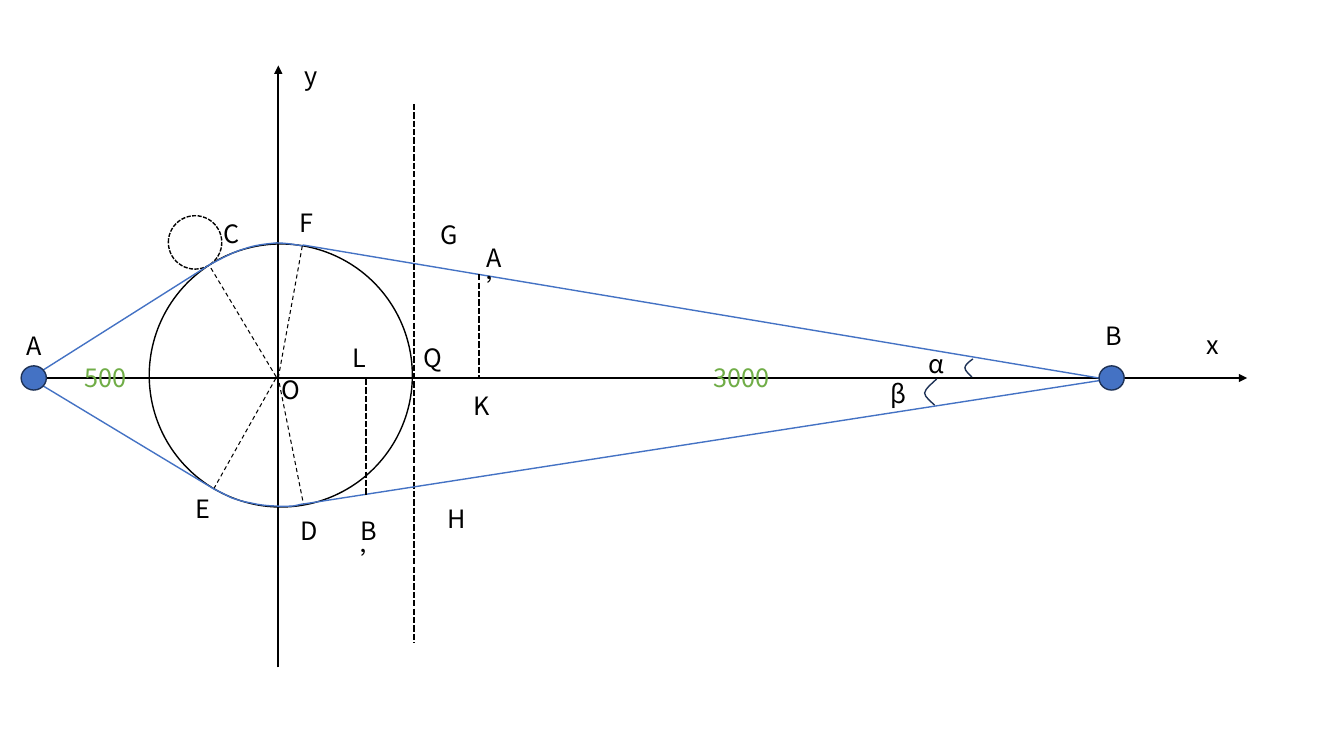
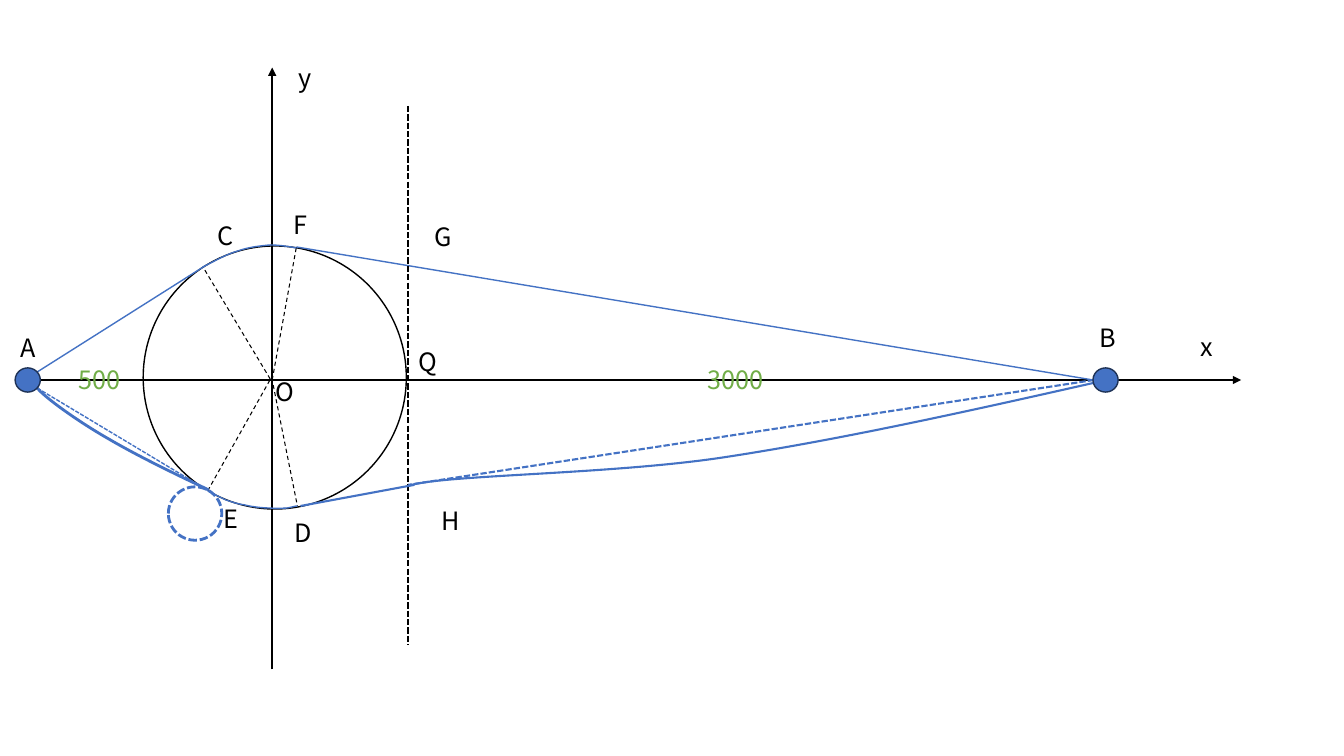
from lxml import etree
from pptx import Presentation
from pptx import util as u
from pptx.dml.color import RGBColor
from pptx.enum import dml, shapes, text
from pptx.oxml.ns import qn

FONT = "Noto Sans CJK SC"
BLACK, WHITE, BLUE, NAVY, GREEN = "000000", "FFFFFF", "4472C4", "1E3256", "70AD47"
DASH, SHORT_DASH = dml.MSO_LINE.DASH, dml.MSO_LINE.SQUARE_DOT


def style(shape, color, width=1, dash=None, arrow=False, fill=None):
    """Set outline, fill and arrowhead, and remove the theme shadow."""
    shape.line.color.rgb = RGBColor.from_string(color)
    shape.line.width = u.Pt(width)
    if dash is not None:
        shape.line.dash_style = dash
    properties = shape.element.spPr
    if arrow:
        etree.SubElement(properties.find(qn("a:ln")), qn("a:tailEnd"), type="triangle")
    if shape.shape_type == shapes.MSO_SHAPE_TYPE.LINE:
        etree.SubElement(properties, qn("a:effectLst"))
        return
    shape.shadow.inherit = False
    if fill:
        shape.fill.solid()
        shape.fill.fore_color.rgb = RGBColor.from_string(fill)
    else:
        shape.fill.background()


def add_label(slide, words, left, top, width, color=BLACK, size=18):
    box = slide.shapes.add_textbox(*map(u.Inches, (left, top, width, 0.4)))
    box.text_frame.word_wrap = True
    box.text_frame.auto_size = text.MSO_AUTO_SIZE.SHAPE_TO_FIT_TEXT
    run = box.text_frame.paragraphs[0].add_run()
    run.text = words
    run.font.name = FONT
    run.font.size = u.Pt(size)
    run.font.color.rgb = RGBColor.from_string(color)
    etree.SubElement(run.font._element, qn("a:ea"), typeface=FONT)


# Shared diagram, in the coordinates of the first slide
shared_lines = [
    # axes
    ((0.4, 3.75), (12.37, 3.75), dict(color=BLACK, width=1.5, arrow=True)),
    ((2.76, 6.62), (2.76, 0.65), dict(color=BLACK, width=1.5, arrow=True)),
    # upper tangents
    ((0.43, 3.67), (2.09, 2.62), dict(color=BLUE)),
    ((10.9, 3.75), (3, 2.43), dict(color=BLUE)),
    # radii
    ((2.76, 3.75), (3, 2.43), dict(color=BLACK, width=0.75, dash=DASH)),
    ((2.12, 4.85), (2.76, 3.71), dict(color=BLACK, width=0.75, dash=DASH)),
    ((2.74, 3.74), (2.08, 2.64), dict(color=BLACK, width=0.75, dash=DASH)),
    ((2.77, 3.8), (3.01, 5), dict(color=BLACK, width=0.75, dash=DASH)),
    # vertical through Q
    ((4.11, 1.03), (4.11, 6.38), dict(color=BLACK, width=1.5, dash=SHORT_DASH)),
]
# Each curve is a chain of cubic segments: start, then control, control, end
shared_curves = [
    ([(2.07, 2.63), (2.19, 2.57), (2.31, 2.5), (2.42, 2.47), (2.53, 2.43),
      (2.64, 2.42), (2.74, 2.41), (2.83, 2.41), (2.95, 2.43), (3, 2.44)], dict(color=BLUE)),
    ([(2.12, 4.85), (2.18, 4.88), (2.24, 4.91), (2.3, 4.94), (2.36, 4.96),
      (2.42, 4.98), (2.49, 4.99), (2.57, 5.01), (2.67, 5.02), (2.74, 5.02),
      (2.81, 5.03), (2.87, 5.02), (2.91, 5.02), (2.96, 5.01), (2.99, 5), (3.01, 5)],
     dict(color=BLUE)),
]
shared_labels = [
    ("3000", 6.98, 3.55, 1.61, GREEN), ("x", 11.87, 3.22, 0.45), ("y", 2.92, 0.55, 0.56),
    ("A", 0.16, 3.23, 0.38), ("B", 10.87, 3.13, 0.45), ("500", 0.74, 3.55, 1.12, GREEN),
    ("C", 2.12, 2.12, 0.32), ("F", 2.87, 2.01, 0.42), ("D", 2.88, 5.06, 0.52),
    ("O", 2.69, 3.66, 0.52), ("G", 4.27, 2.13, 0.72), ("H", 4.34, 4.94, 1.37),
]

# What each slide adds, in its own coordinates
scenes = [
    dict(
        shift=(0, 0),
        rolling=(1.67, 2.14, dict(color=BLACK, dash=SHORT_DASH)),
        lines=[
            ((0.43, 3.83), (2.12, 4.85), dict(color=BLUE)),
            ((11.07, 3.75), (3.01, 5), dict(color=BLUE)),
            ((4.75, 2.72), (4.75, 3.76), dict(color=BLACK, width=1.5, dash=SHORT_DASH)),
            ((3.63, 3.76), (3.63, 4.91), dict(color=BLACK, width=1.5, dash=SHORT_DASH)),
        ],
        curves=[
            ([(9.65, 3.56), (9.61, 3.59), (9.57, 3.62), (9.57, 3.65),
              (9.57, 3.68), (9.62, 3.72), (9.64, 3.74)], dict(color=NAVY)),
            ([(9.29, 3.76), (9.24, 3.81), (9.18, 3.85), (9.17, 3.9),
              (9.17, 3.94), (9.25, 4), (9.27, 4.02)], dict(color=NAVY)),
        ],
        labels=[
            ("E", 1.84, 4.84, 0.42), ("α", 9.11, 3.41, 0.45), ("β", 8.73, 3.7, 0.39),
            ("A’", 4.73, 2.35, 0.45), ("B’", 3.48, 5.06, 0.42), ("K", 4.6, 3.82, 0.9),
            ("L", 3.4, 3.35, 0.53), ("Q", 4.1, 3.35, 1.02),
        ],
    ),
    dict(
        shift=(-0.06, 0.02),
        rolling=(1.67, 4.83, dict(color=BLUE, width=2, dash=SHORT_DASH)),
        lines=[
            ((0.37, 3.85), (2.07, 4.87), dict(color=BLUE, dash=SHORT_DASH)),
            ((10.85, 3.77), (4.05, 4.81), dict(color=BLUE, width=1.5, dash=SHORT_DASH)),
            ((4.11, 4.81), (2.98, 5.02), dict(color=BLUE, width=1.5)),
        ],
        curves=[
            ([(10.84, 3.8), (9.56, 4.09), (8.29, 4.37), (7.16, 4.54),
              (6.02, 4.71), (4.36, 4.71), (4.05, 4.82)], dict(color=BLUE, width=1.5)),
            ([(2.07, 4.86), (1.71, 4.69), (1.36, 4.52), (1.07, 4.35),
              (0.79, 4.19), (0.45, 3.95), (0.37, 3.85)], dict(color=BLUE, width=2)),
        ],
        labels=[("E", 2.12, 4.94, 0.42), ("Q", 4.05, 3.39, 1.02)],
    ),
]

presentation = Presentation()
presentation.slide_width, presentation.slide_height = u.Inches(13.33), u.Inches(7.5)

for scene in scenes:
    slide = presentation.slides.add_slide(presentation.slide_layouts[6])
    shift_x, shift_y = scene["shift"]

    # Main circle and rolling circle
    rolling_left, rolling_top, rolling_format = scene["rolling"]
    for left, top, size, line_format in [
        (1.48 + shift_x, 2.42 + shift_y, 2.61, dict(color=BLACK)),
        (rolling_left, rolling_top, 0.53, rolling_format),
    ]:
        circle = slide.shapes.add_shape(
            shapes.MSO_SHAPE.OVAL, *map(u.Inches, (left, top, size, size)))
        style(circle, fill=WHITE, **line_format)

    # Straight lines
    for lines, dx, dy in [(shared_lines, shift_x, shift_y), (scene["lines"], 0, 0)]:
        for (x1, y1), (x2, y2), line_format in lines:
            connector = slide.shapes.add_connector(
                shapes.MSO_CONNECTOR.STRAIGHT,
                *map(u.Inches, (x1 + dx, y1 + dy, x2 + dx, y2 + dy)))
            style(connector, **line_format)

    # Curves: every three line segments become one cubic segment
    for curves, dx, dy in [(shared_curves, shift_x, shift_y), (scene["curves"], 0, 0)]:
        for points, line_format in curves:
            start, *others = [(u.Inches(x + dx), u.Inches(y + dy)) for x, y in points]
            builder = slide.shapes.build_freeform(*start)
            builder.add_line_segments(others, close=False)
            curve = builder.convert_to_shape()
            segments = list(curve.element.iter(qn("a:lnTo")))
            outline = segments[0].getparent()
            for first in range(0, len(segments), 3):
                cubic = etree.SubElement(outline, qn("a:cubicBezTo"))
                for segment in segments[first:first + 3]:
                    cubic.append(segment[0])
                    outline.remove(segment)
            style(curve, **line_format)

    # End points A and B
    for left in (0.21, 10.9):
        dot = slide.shapes.add_shape(
            shapes.MSO_SHAPE.OVAL,
            *map(u.Inches, (left + shift_x, 3.63 + shift_y, 0.25, 0.24)))
        style(dot, NAVY, fill=BLUE)

    # Labels
    for labels, dx, dy in [(shared_labels, shift_x, shift_y), (scene["labels"], 0, 0)]:
        for words, left, top, *label_format in labels:
            add_label(slide, words, left + dx, top + dy, *label_format)

presentation.save("out.pptx")
